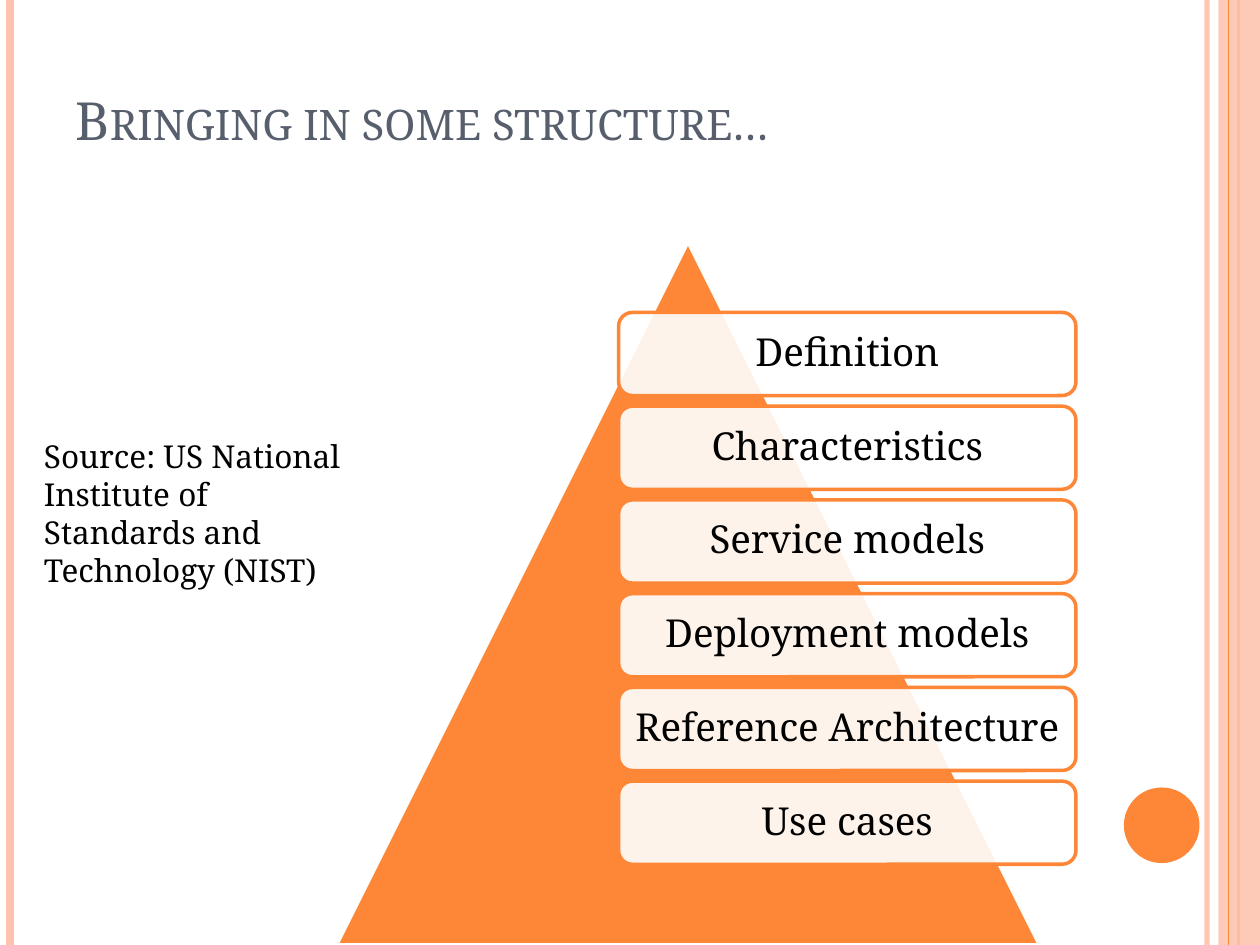
from lxml.etree import SubElement
from pptx import Presentation
from pptx.dml.color import RGBColor
from pptx.enum.shapes import MSO_CONNECTOR, MSO_SHAPE as Geo
from pptx.enum.text import MSO_ANCHOR as Anchor, PP_ALIGN as Align
from pptx.oxml.ns import qn
from pptx.util import Inches, Pt

HEADING = "Bringing in some structure…"
SOURCE_NOTE = "Source: US National Institute of Standards and Technology (NIST)"
LAYERS = ["Definition", "Characteristics", "Service models",
          "Deployment models", "Reference Architecture", "Use cases"]
ORANGE, PEACH, SLATE, WHITE, BLACK = "FE8637", "FEC3AE", "575F6D", "FFFFFF", "000000"
FONT = "Noto Serif"
STRIPES_BEHIND = [(9.58, PEACH, 3, 93), (0.08, PEACH, 4.5, 100), (9.83, ORANGE, 1.5, 100)]
STRIPE_FRONT = (9.75, ORANGE, 0.75, 100)
LAYER_LEFT, LAYER_TOP, LAYER_WIDTH, LAYER_HEIGHT = 4.91, 2.48, 3.63, 0.66
LAYER_PITCH = 0.744


def paint(fill, color, opacity=100):
    fill.solid()
    fill.fore_color.rgb = RGBColor.from_string(color)
    if opacity < 100:
        tint = fill._xPr.find(".//" + qn("a:srgbClr"))
        SubElement(tint, qn("a:alpha"), val=str(opacity * 1000))


def add_stripe(x, color, width, opacity):
    stripe = slide.shapes.add_connector(
        MSO_CONNECTOR.STRAIGHT, Inches(x), 0, Inches(x), Inches(7.5))
    paint(stripe.line.fill, color, opacity)
    stripe.line.width = Pt(width)
    SubElement(stripe._element.spPr, qn("a:effectLst"))


def add_block(geometry, box, color, opacity=100, outline=None):
    block = slide.shapes.add_shape(geometry, *map(Inches, box))
    block.shadow.inherit = False
    paint(block.fill, color, opacity)
    if outline:
        paint(block.line.fill, outline)
        block.line.width = Pt(2)
    else:
        block.line.fill.background()
    return block


def write(frame, wording, size, color, align=Align.LEFT):
    frame.text = wording
    frame.word_wrap = True
    paragraph = frame.paragraphs[0]
    paragraph.alignment = align
    font = paragraph.runs[0].font
    font.name, font.size = FONT, Pt(size)
    font.color.rgb = RGBColor.from_string(color)
    return paragraph


deck = Presentation()
deck.slide_width, deck.slide_height = Inches(10), Inches(7.5)
slide = deck.slides.add_slide(deck.slide_layouts[5])

for stripe_style in STRIPES_BEHIND:
    add_stripe(*stripe_style)
add_block(Geo.RECTANGLE, (9.67, 0, 0.33, 7.5), PEACH, 87)
add_stripe(*STRIPE_FRONT)
add_block(Geo.OVAL, (8.92, 6.25, 0.6, 0.6), ORANGE)

title = slide.shapes.title
title.left, title.top, title.width, title.height = map(Inches, (0.5, 0, 8.17, 1.25))
heading = write(title.text_frame, HEADING, 30, SLATE)
heading.runs[0].font._element.set("cap", "small")
title.text_frame.vertical_anchor = Anchor.BOTTOM

add_block(Geo.ISOSCELES_TRIANGLE, (2.67, 1.92, 5.58, 5.58), ORANGE, outline=WHITE)
for index, layer_name in enumerate(LAYERS):
    layer_box = (LAYER_LEFT, LAYER_TOP + index * LAYER_PITCH, LAYER_WIDTH, LAYER_HEIGHT)
    layer = add_block(Geo.ROUNDED_RECTANGLE, layer_box, WHITE, 90, ORANGE)
    label = write(layer.text_frame, layer_name, 22, BLACK, Align.CENTER)
    label.line_spacing = 0.9
    layer.text_frame.margin_left = layer.text_frame.margin_right = Inches(0.05)
    layer.text_frame.vertical_anchor = Anchor.MIDDLE

source = slide.shapes.add_textbox(*map(Inches, (0.25, 3.42, 2.58, 1.31)))
write(source.text_frame, SOURCE_NOTE, 18, BLACK)

deck.save("out.pptx")
